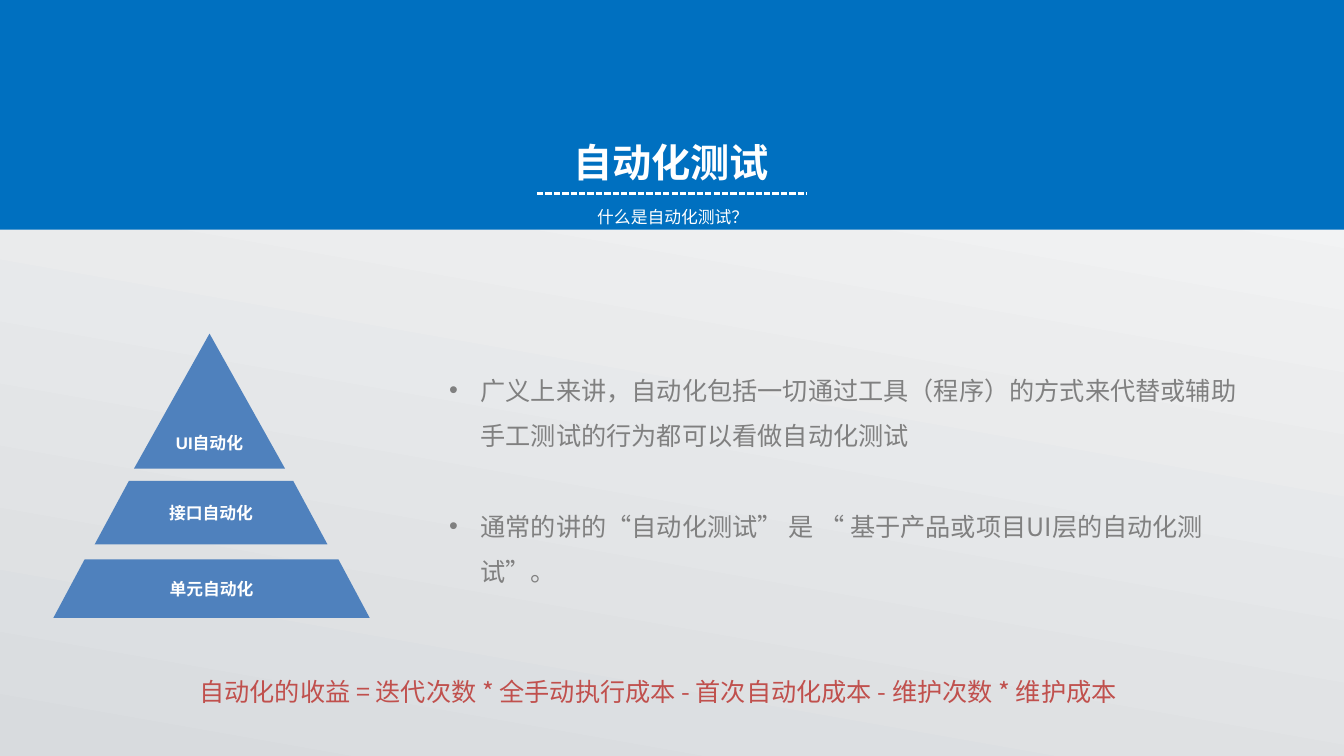
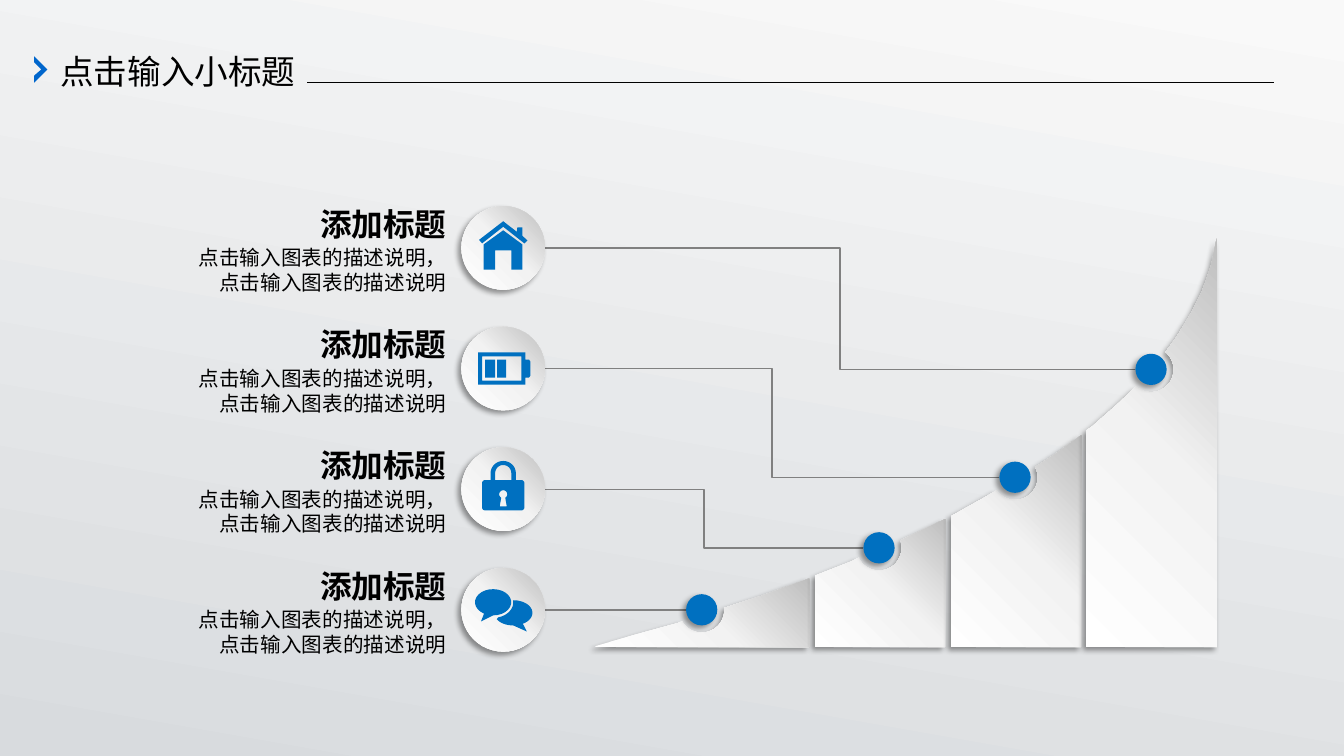
import copy
import math
from dataclasses import dataclass

import pptx
import pptx.dml.color
import pptx.enum.dml
import pptx.enum.shapes
import pptx.enum.text
import pptx.oxml
import pptx.oxml.ns
import pptx.util

SHAPE = pptx.enum.shapes.MSO_SHAPE
LINK = pptx.enum.shapes.MSO_CONNECTOR
ALIGN = pptx.enum.text.PP_ALIGN
ANCHOR = pptx.enum.text.MSO_ANCHOR
qn = pptx.oxml.ns.qn

# All places and lengths are counted in square grid cells of this size
CELL = pptx.util.Inches(0.1)
COLUMNS, ROWS = 133.4, 75


@dataclass(frozen=True)
class Theme:
    blue: str = "0070C0"
    chevron: str = "0066CC"
    steel: str = "4F81BD"
    red: str = "C0504D"
    gray: str = "808080"
    white: str = "FFFFFF"
    black: str = "000000"
    backdrop: tuple = ((0, "D8DBDE"), (1, "F9F9F9"))
    paper: tuple = ((0, "FFFFFF"), (0.51, "F2F2F2"), (1, "BFBFBF"))
    font: str = "Noto Sans CJK SC"
    label_font: str = "Arial"
    title: float = 28
    section: float = 24
    heading: float = 22.6
    body: float = 18
    detail: float = 14.7
    small: float = 12
    leading: float = 1.2


THEME = Theme()


def cells(*counts):
    return [pptx.util.Emu(round(count * CELL)) for count in counts]


def rgb(color):
    return pptx.dml.color.RGBColor.from_string(color)


# Fills, shadows and text styles
def paint_gradient(fill, element, stops, angle):
    fill.gradient()
    fill.gradient_angle = angle
    stop_list = next(element.iter(qn("a:gsLst")))
    while len(stop_list) < len(stops):
        stop_list.append(copy.deepcopy(stop_list[-1]))
    for stop, (position, color) in zip(fill.gradient_stops, stops):
        stop.position = position
        stop.color.rgb = rgb(color)


def cast_shadow(shape):
    effects = shape.element.spPr.find(qn("a:effectLst"))
    effects.append(pptx.oxml.parse_xml(
        f'<a:outerShdw {pptx.oxml.ns.nsdecls("a")} blurRad="50800" dist="38100"'
        ' dir="8100000" algn="tr" rotWithShape="0">'
        f'<a:srgbClr val="{THEME.black}"><a:alpha val="40000"/></a:srgbClr>'
        '</a:outerShdw>'))


def finish(shape, fill, shadow=False):
    """Fill with one colour, or with the stops of a gradient."""
    shape.shadow.inherit = False
    shape.line.fill.background()
    if isinstance(fill, str):
        shape.fill.solid()
        shape.fill.fore_color.rgb = rgb(fill)
    else:
        paint_gradient(shape.fill, shape.element, fill, 45)
    if shadow:
        cast_shadow(shape)
    return shape


def style(paragraph, size, color, bold=False, align=ALIGN.LEFT,
          font=THEME.font, leading=THEME.leading):
    paragraph.alignment = align
    paragraph.line_spacing = pptx.util.Pt(round(size * leading, 1))
    for run in paragraph.runs:
        run.font.name = font
        run.font.size = pptx.util.Pt(size)
        run.font.bold = bold
        run.font.color.rgb = rgb(color)
        latin = run.font._element.find(qn("a:latin"))
        east_asian = copy.deepcopy(latin)
        east_asian.tag = qn("a:ea")
        latin.addnext(east_asian)


def add_bullet(paragraph):
    properties = paragraph._p.get_or_add_pPr()
    properties.set("marL", "285750")
    properties.set("indent", "-285750")
    properties.append(pptx.oxml.parse_xml(
        f'<a:buFont {pptx.oxml.ns.nsdecls("a")} typeface="Arial"/>'))
    properties.append(pptx.oxml.parse_xml(
        f'<a:buChar {pptx.oxml.ns.nsdecls("a")} char="•"/>'))


# Elements
def add_text(slide, place, *lines, anchor=ANCHOR.TOP):
    frame = slide.shapes.add_textbox(*cells(*place)).text_frame
    frame.word_wrap = True
    frame.vertical_anchor = anchor
    frame.text = "\n".join(lines)
    return frame.paragraphs


def add_preset(slide, kind, place, fill, shadow=False):
    return finish(slide.shapes.add_shape(kind, *cells(*place)), fill, shadow)


def add_disc(slide, x, y, radius, fill):
    place = (x - radius, y - radius, 2 * radius, 2 * radius)
    return add_preset(slide, SHAPE.OVAL, place, fill, shadow=True)


def add_outline(slide, contours, fill, shadow=False, origin=(0, 0)):
    contours = [[cells(origin[0] + x, origin[1] + y) for x, y in contour]
                for contour in contours]
    builder = slide.shapes.build_freeform(*contours[0][0])
    for contour in contours:
        builder.move_to(*contour[0])
        builder.add_line_segments(contour[1:], close=True)
    return finish(builder.convert_to_shape(), fill, shadow)


def add_line(slide, start, end, color, width, kind=LINK.STRAIGHT):
    line = slide.shapes.add_connector(kind, *cells(*start, *end))
    line.line.color.rgb = rgb(color)
    line.line.width = pptx.util.Pt(width)
    line.element.spPr.append(pptx.oxml.parse_xml(
        f'<a:effectLst {pptx.oxml.ns.nsdecls("a")}/>'))
    return line


# Contours; angles run clockwise from the right
def arc(x, y, across, down, first, last, steps=24):
    angles = [math.radians(first + (last - first) * i / steps)
              for i in range(steps + 1)]
    return [(x + across * math.cos(a), y + down * math.sin(a)) for a in angles]


def box(left, top, right, bottom):
    return [(left, top), (right, top), (right, bottom), (left, bottom)]


# Icons, measured from the middle of their badge
HOUSE = [
    [(0, -1.75), (1.9, -0.35), (1.9, 2.15), (0.8, 2.15), (0.8, 0.25),
     (-0.8, 0.25), (-0.8, 2.15), (-1.95, 2.15), (-1.95, -0.35)],
    [(0, -2.65), (1.35, -1.6), (1.4, -2.05), (1.9, -2.05), (1.9, -1.2),
     (2.4, -0.75), (2.1, -0.45), (0, -2.1), (-2.1, -0.45), (-2.4, -0.8)],
]
BATTERY = [
    [(-2.5, -1.6), (2.2, -1.6), (2.2, -0.9), (2.55, -0.9), (2.7, -0.7),
     (2.7, 0.7), (2.55, 0.9), (2.2, 0.9), (2.2, 1.6), (-2.5, 1.6)],
    box(-2.1, -1.2, 1.8, 1.2),
    box(-1.8, -0.9, -0.8, 0.9),
    box(-0.6, -0.9, 0.3, 0.9),
]
LOCK = [
    arc(-1.8, -0.6, 0.3, 0.3, 180, 270) + arc(1.8, -0.6, 0.3, 0.3, 270, 360)
    + arc(1.8, 1.8, 0.3, 0.3, 0, 90) + arc(-1.8, 1.8, 0.3, 0.3, 90, 180),
    arc(0, 0.5, 0.4, 0.4, 120, 420) + [(0.35, 1.7), (-0.35, 1.7)],
    [(-1.25, -0.9)] + arc(0, -1.6, 1.25, 1.2, 180, 360) + [(1.25, -0.9), (0.8, -0.9)]
    + arc(0, -1.6, 0.8, 0.8, 360, 180) + [(-0.8, -0.9)],
]
CHAT = [
    arc(-1, -0.75, 1.8, 1.3, 120, 450) + [(-2.2, 1.15)],
    arc(1, 0.3, 1.9, 1.25, -90, 60) + [(2.35, 2.15)]
    + arc(1, 0.3, 1.9, 1.25, 90, 150) + arc(-1, -0.75, 2, 1.55, 75, 5),
]

# Growth bars, left to right: dot, curve before it, curve after it
BARS = [
    ((69.65, 60.5), [(59.1, 64.1), (62.9, 63), (67.3, 61.8), (67.8, 61.6)],
     [(71.9, 60.3), (75.6, 59.1), (80.3, 57.4)]),
    ((87.25, 54.35), [(80.9, 57.1), (84.5, 55.7), (85.3, 55.3)],
     [(89.4, 53.6), (93.8, 51.5)]),
    ((100.75, 47.35), [(94.4, 51.2), (97.8, 49.3), (99, 48.6)],
     [(102.8, 46.3), (104.8, 45), (107.3, 43.2)]),
    ((114.25, 36.65), [(107.8, 42.7), (108.4, 42.3), (110.9, 40.1), (112.8, 38.3)],
     [(115.7, 34.9), (116.8, 33.4), (118.2, 31.1), (119.35, 28.8),
      (120.2, 26.4), (120.7, 24), (120.8, 23.7)]),
]
BASELINE, DOT, NOTCH = 64.2, 1.55, 2.25
BADGE_X, BADGE = 49.95, 4.15
FIRST_ROW, LAST_ROW = 24.6, 60.5


def direction(center, point):
    return math.degrees(math.atan2(point[1] - center[1], point[0] - center[0]))


def add_bar(slide, dot, before, after):
    notch = arc(*dot, NOTCH, NOTCH, direction(dot, before[-1]), direction(dot, after[0]))
    feet = [(after[-1][0], BASELINE), (before[0][0], BASELINE)]
    add_outline(slide, [before + notch + after + feet], THEME.paper, shadow=True)


def add_entry(slide, y, icon, dot):
    """One row: link to the curve, badge with icon, heading and description."""
    start, end = (BADGE_X + BADGE, y), (dot[0] - DOT, dot[1])
    kind = LINK.STRAIGHT if abs(y - dot[1]) < 0.1 else LINK.ELBOW
    add_line(slide, start, end, THEME.gray, 1, kind)
    add_disc(slide, BADGE_X, y, BADGE, THEME.paper)
    add_outline(slide, icon, THEME.blue, origin=(BADGE_X, y))
    heading, detail = add_text(slide, (17.3, y - 4.8, 28, 10), "添加标题",
                               "点击输入图表的描述说明，点击输入图表的描述说明")
    style(heading, THEME.heading, THEME.black, True, ALIGN.RIGHT)
    style(detail, THEME.detail, THEME.black, align=ALIGN.RIGHT)
    detail.space_before = pptx.util.Pt(2)


def add_tier(slide, label, top, bottom, top_edge, bottom_edge, text_drop=0):
    tier = add_outline(slide, [[(top_edge[0], top), (top_edge[1], top),
                                (bottom_edge[1], bottom), (bottom_edge[0], bottom)]],
                       THEME.steel)
    frame = tier.text_frame
    frame.margin_left = frame.margin_right = frame.margin_bottom = 0
    frame.margin_top, = cells(text_drop)
    frame.vertical_anchor = ANCHOR.MIDDLE
    frame.text = label
    style(frame.paragraphs[0], THEME.small, THEME.white, True, ALIGN.CENTER,
          THEME.label_font)


# Slides
def build_definition(slide):
    # Title band
    add_preset(slide, SHAPE.RECTANGLE, (0, -0.5, COLUMNS, 23.3), THEME.blue)
    title, = add_text(slide, (55.7, 14.2, 21.8, 3.7), "自动化测试", anchor=ANCHOR.MIDDLE)
    style(title, THEME.title, THEME.white, True, ALIGN.CENTER)
    rule = add_line(slide, (53.3, 19.2), (80.1, 19.2), THEME.white, 1.5)
    rule.line.dash_style = pptx.enum.dml.MSO_LINE.SQUARE_DOT
    question, = add_text(slide, (58.3, 20, 18, 3), "什么是自动化测试？")
    style(question, THEME.small, THEME.white)

    # Explanation
    points = add_text(
        slide, (43.6, 35.2, 80.6, 23.7),
        "广义上来讲，自动化包括一切通过工具（程序）的方式来代替或辅助手工测试的行为都可以看做自动化测试",
        "通常的讲的“自动化测试” 是 “ 基于产品或项目UI层的自动化测试”。")
    for point in points:
        add_bullet(point)
        style(point, THEME.body, THEME.gray, leading=1.5 * THEME.leading)
    points[1].space_before = points[0].line_spacing

    # Pyramid
    add_tier(slide, "UI自动化", 33.1, 46.5, (20.8, 20.8), (13.3, 28.3), text_drop=8.3)
    add_tier(slide, "接口自动化", 47.7, 54, (12.8, 29.1), (9.4, 32.5))
    add_tier(slide, "单元自动化", 55.5, 61.3, (8.4, 33.6), (5.3, 36.7))

    # Formula
    formula, = add_text(
        slide, (18.8, 66.6, 101.7, 4),
        "自动化的收益 = 迭代次数 * 全手动执行成本 - 首次自动化成本 - 维护次数 * 维护成本")
    style(formula, THEME.body, THEME.red)


def build_growth(slide):
    # Entries from top to bottom lead to the bars from right to left
    icons = [HOUSE, BATTERY, LOCK, CHAT]
    pitch = (LAST_ROW - FIRST_ROW) / (len(icons) - 1)
    for row, (icon, bar) in enumerate(zip(icons, reversed(BARS))):
        add_entry(slide, FIRST_ROW + row * pitch, icon, bar[0])

    # Growth curve
    for bar in BARS:
        add_bar(slide, *bar)
    for dot, *_ in BARS:
        add_disc(slide, *dot, DOT, THEME.blue)

    # Section title
    add_outline(slide, [[(3.4, 5.6), (4.7, 6.9), (3.4, 8.2), (3.4, 7.5),
                         (4.1, 6.9), (3.4, 6.2)]], THEME.chevron)
    section, = add_text(slide, (5, 4.6, 27.1, 5), "点击输入小标题")
    style(section, THEME.section, THEME.black)
    add_line(slide, (30.5, 8.2), (126.5, 8.2), THEME.black, 0.75)


def main():
    deck = pptx.Presentation()
    deck.slide_width, deck.slide_height = cells(COLUMNS, ROWS)
    master = deck.slide_master
    paint_gradient(master.background.fill, master.element, THEME.backdrop, 80)
    for build in (build_definition, build_growth):
        build(deck.slides.add_slide(deck.slide_layouts[6]))
    deck.save("out.pptx")


if __name__ == "__main__":
    main()
